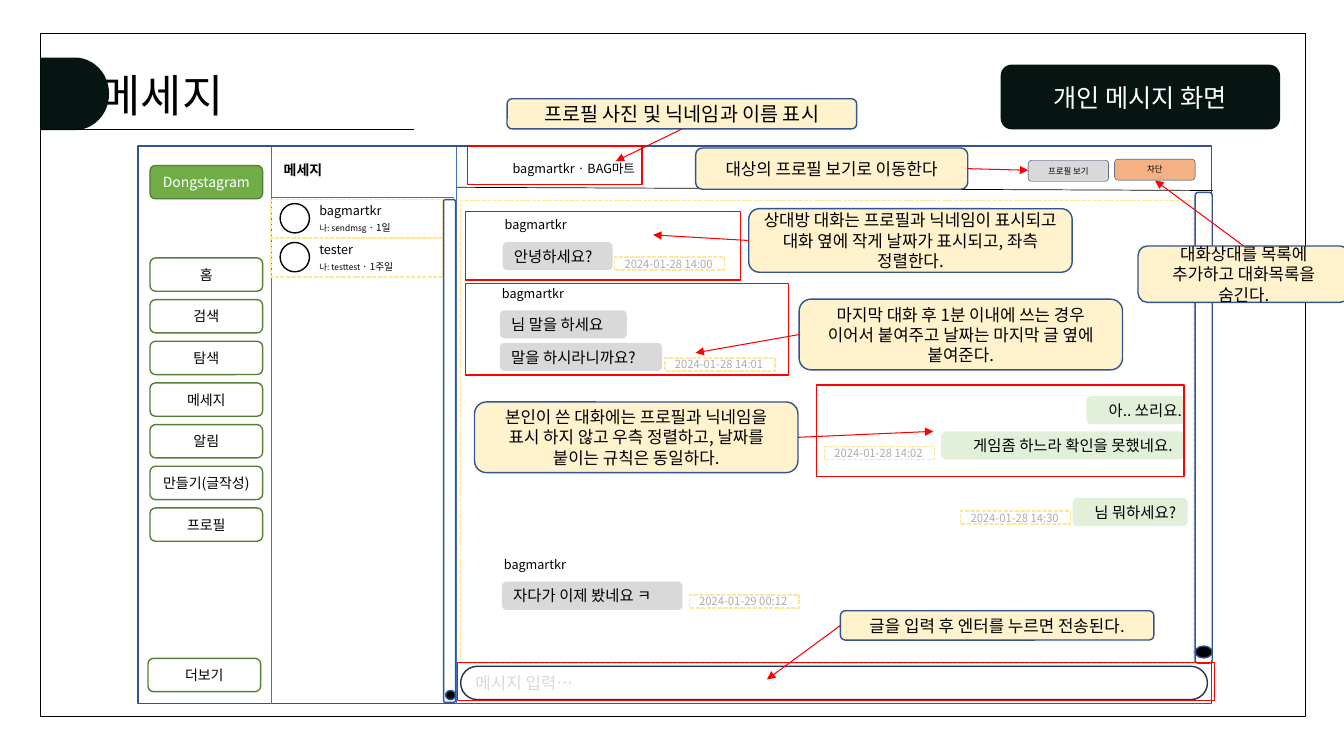
from dataclasses import dataclass

from lxml import etree
from pptx import Presentation
from pptx import util as u
from pptx.dml.color import RGBColor
from pptx.enum import dml, shapes, text
from pptx.oxml.ns import qn

FONT = "Noto Sans CJK KR"
BLACK, WHITE, INK = "000000", "FFFFFF", "061512"
NAVY, BLUE, DEEP_NAVY = "325491", "4472C4", "1E3256"
GREEN, DARK_GREEN, PALE_GREEN = "70AD47", "538035", "E2F0D9"
GREY, STAMP_GREY, ORANGE = "D9D9D9", "AFABAB", "F4B183"
CREAM, YELLOW, RED = "FFF2CC", "FFE699", "FF0000"
RECT, ROUND = shapes.MSO_SHAPE.RECTANGLE, shapes.MSO_SHAPE.ROUNDED_RECTANGLE
OVAL, DELAY = shapes.MSO_SHAPE.OVAL, shapes.MSO_SHAPE.FLOWCHART_DELAY
LEFT, CENTER, RIGHT = text.PP_ALIGN.LEFT, text.PP_ALIGN.CENTER, text.PP_ALIGN.RIGHT
TOP_SIDE, LEFT_SIDE, BOTTOM_SIDE, RIGHT_SIDE = range(4)


@dataclass(frozen=True)
class Box:
    left: float
    top: float
    width: float
    height: float

    def lengths(self) -> list:
        return [u.Cm(n) for n in (self.left, self.top, self.width, self.height)]


@dataclass(frozen=True)
class Bubble:
    words: str
    left: float
    top: float
    width: float
    own: bool = False
    right_inset: float = 0.25


@dataclass(frozen=True)
class Stamp:
    time: str
    left: float
    top: float


@dataclass(frozen=True)
class Callout:
    words: str
    box: Box
    side: int
    target: tuple[float, float]
    size: float = 12


@dataclass(frozen=True)
class Thread:
    name: str
    preview: str
    age: str


NAV = ["홈", "검색", "탐색", "메세지", "알림", "만들기(글작성)", "프로필"]
THREADS = [Thread("bagmartkr", "나: sendmsg ", "· 1일"),
           Thread("tester", "나: testtest ", "· 1주일")]
SENDERS = [(12.47, 5.51), (12.4, 7.24), (12.45, 14.07)]
BUBBLES = [
    Bubble("안녕하세요?", 12.67, 6.1, 2.77),
    Bubble("님 말을 하세요", 12.6, 7.82, 3.2),
    Bubble("말을 하시라니까요?", 12.6, 8.64, 4.09),
    Bubble("아.. 쏘리요.", 27.38, 9.98, 2.49, own=True, right_inset=0.05),
    Bubble("게임좀 하느라 확인을 못했네요.", 23.72, 10.87, 6.12, own=True),
    Bubble("님 뭐하세요?", 27.03, 12.55, 2.9, own=True),
    Bubble("자다가 이제 봤네요 ㅋ", 12.65, 14.66, 4.55),
]
STAMPS = [
    Stamp("2024-01-28 14:00", 15.49, 6.48),
    Stamp("2024-01-28 14:01", 16.76, 9.02),
    Stamp("2024-01-28 14:02", 20.78, 11.25),
    Stamp("2024-01-28 14:30", 24.21, 12.88),
    Stamp("2024-01-29 00:12", 17.37, 14.99),
]
HIGHLIGHTS = [
    Box(11.79, 3.68, 4.39, 0.97), Box(11.73, 5.33, 6.93, 1.73),
    Box(11.73, 7.14, 8.15, 2.31), Box(20.57, 9.7, 9.27, 2.31),
    Box(11.53, 16.69, 19.08, 0.97),
]
CALLOUTS = [
    Callout("프로필 사진 및 닉네임과 이름 표시", Box(12.78, 2.49, 8.81, 0.76),
            BOTTOM_SIDE, (15.52, 4.06), 14),
    Callout("상대방 대화는 프로필과 닉네임이 표시되고 대화 옆에 작게 날짜가 표시되고, 좌측 정렬한다.",
            Box(18.87, 5.26, 8.15, 1.6), LEFT_SIDE, (16.46, 5.92)),
    Callout("마지막 대화 후 1분 이내에 쓰는 경우 이어서 붙여주고 날짜는 마지막 글 옆에 붙여준다.",
            Box(20.14, 7.54, 8.15, 1.78), LEFT_SIDE, (17.53, 8.89)),
    Callout("본인이 쓴 대화에는 프로필과 닉네임을 표시 하지 않고 우측 정렬하고, 날짜를 붙이는 규칙은 동일하다.",
            Box(11.96, 10.13, 8.15, 1.78), RIGHT_SIDE, (23.52, 10.87)),
    Callout("대상의 프로필 보기로 이동한다", Box(17.53, 3.73, 6.86, 1.04),
            RIGHT_SIDE, (25.91, 4.29)),
    Callout("대화상대를 목록에 추가하고 대화목록을 숨긴다.", Box(28.68, 6.2, 5.33, 1.42),
            TOP_SIDE, (29.11, 4.55)),
    Callout("글을 입력 후 엔터를 누르면 전송된다.", Box(21.18, 15.39, 7.9, 0.74),
            LEFT_SIDE, (19.33, 17.12)),
]


def rgb(value: str) -> RGBColor:
    return RGBColor.from_string(value)


def write(holder, words: str, *, size: float, color: str = BLACK, bold: bool = False,
          align=LEFT, wrap: bool = True) -> None:
    frame = holder.text_frame
    frame.word_wrap = wrap
    frame.auto_size = text.MSO_AUTO_SIZE.NONE
    frame.vertical_anchor = text.MSO_ANCHOR.MIDDLE
    line = frame.paragraphs[0]
    line.alignment = align
    run = line.add_run()
    run.text = words
    run.font.size, run.font.bold = u.Pt(size), bold
    run.font.color.rgb = rgb(color)
    run.font.name = FONT
    etree.SubElement(run.font._element, qn("a:ea"), typeface=FONT)


def draw(slide, kind, box: Box, *, fill: str = "", line: str = "", weight: float = 1,
         dashed: bool = False):
    shape = slide.shapes.add_shape(kind, *box.lengths())
    shape.shadow.inherit = False
    if fill:
        shape.fill.solid()
        shape.fill.fore_color.rgb = rgb(fill)
    else:
        shape.fill.background()
    if line:
        shape.line.color.rgb = rgb(line)
        shape.line.width = u.Pt(weight)
        if dashed:
            shape.line.dash_style = dml.MSO_LINE.SQUARE_DOT
    else:
        shape.line.fill.background()
    return shape


def label(slide, box: Box, words: str, size: float):
    holder = slide.shapes.add_textbox(*box.lengths())
    write(holder, words, size=size)
    return holder


def connect(slide, start: tuple, end: tuple, color: str, weight: float = 0.5,
            arrow: bool = False):
    link = slide.shapes.add_connector(shapes.MSO_CONNECTOR.STRAIGHT,
                                      *[u.Cm(n) for n in (*start, *end)])
    link.line.color.rgb = rgb(color)
    link.line.width = u.Pt(weight)
    if arrow:
        etree.SubElement(link.line._get_or_add_ln(), qn("a:tailEnd"), type="triangle")
    etree.SubElement(link._element.spPr, qn("a:effectLst"))
    return link


def draw_heading(slide) -> None:
    draw(slide, RECT, Box(1.02, 0.84, 31.88, 17.22), line=BLACK)
    badge = draw(slide, ROUND, Box(25.22, 1.63, 7.04, 1.63), fill=INK)
    write(badge, "개인 메시지 화면", size=18, color=WHITE, align=CENTER)
    draw(slide, DELAY, Box(1.02, 1.45, 1.73, 1.83), fill=INK)
    title = slide.shapes.title
    title.left, title.top, title.width, title.height = Box(1.24, 1.57, 9.19, 1.63).lengths()
    write(title, "메세지", size=32)
    title.text_frame.margin_left = u.Cm(1.27)
    connect(slide, (1.02, 3.25), (10.44, 3.25), BLACK)


def draw_navigation(slide) -> None:
    draw(slide, RECT, Box(3.48, 3.68, 27.05, 14.05), line=NAVY)
    for divider in (6.83, 11.51):
        connect(slide, (divider, 3.71), (divider, 17.73), BLUE)
    service = draw(slide, ROUND, Box(3.78, 4.17, 2.84, 0.84), fill=GREEN, line=DARK_GREEN)
    write(service, "Dongstagram", size=10, color=WHITE, align=CENTER)
    spots = [(name, 3.78, 6.5 + 1.05 * row) for row, name in enumerate(NAV)]
    for name, left, top in [*spots, ("더보기", 3.73, 16.59)]:
        button = draw(slide, ROUND, Box(left, top, 2.84, 0.84), line=DARK_GREEN)
        write(button, name, size=10, align=CENTER)


def draw_threads(slide) -> None:
    connect(slide, (6.83, 4.98), (11.43, 4.98), BLUE)
    header = draw(slide, ROUND, Box(6.71, 3.86, 1.85, 0.84))
    write(header, "메세지", size=10, bold=True, align=CENTER)
    for row, thread in enumerate(THREADS):
        drop = 0.98 * row
        draw(slide, RECT, Box(6.83, 5.03 + drop, 4.32, 0.97), line=YELLOW, dashed=True)
        label(slide, Box(7.8, 5.16 + drop, 2.16, 0.3), thread.name, 9)
        preview = label(slide, Box(7.8, 5.59 + drop, 3.28, 0.3), thread.preview, 6)
        write(preview, thread.age, size=7)
        draw(slide, OVAL, Box(7.06, 5.13 + drop, 0.74, 0.74), fill=WHITE, line=BLACK)


def draw_chat(slide) -> None:
    connect(slide, (11.51, 4.72), (30.56, 4.8), BLACK)
    label(slide, Box(12.67, 4.06, 5.72, 0.38), "bagmartkr · BAG마트", 9)
    for name, left, top, fill in [("프로필 보기", 25.91, 4.04, GREY), ("차단", 28.09, 4.01, ORANGE)]:
        button = draw(slide, ROUND, Box(left, top, 2.03, 0.53), fill=fill,
                      line=DEEP_NAVY, weight=0.25)
        write(button, name, size=6, align=CENTER)
    for track, thumb in [(Box(11.18, 5.03, 0.3, 12.67), Box(11.23, 17.4, 0.25, 0.23)),
                         (Box(30.12, 4.85, 0.43, 11.86), Box(30.12, 16.28, 0.43, 0.3))]:
        draw(slide, ROUND, track, fill=WHITE, line=NAVY)
        draw(slide, OVAL, thumb, fill=BLACK, line=NAVY)
    entry = draw(slide, ROUND, Box(11.61, 16.79, 18.82, 0.84), fill=WHITE, line=DEEP_NAVY)
    entry.adjustments[0] = 0.5
    write(entry, "메시지 입력…", size=12, color=GREY)
    draw(slide, RECT, Box(11.61, 5.05, 18.47, 11.66), line=YELLOW, dashed=True)
    for left, top in SENDERS:
        label(slide, Box(left, top, 2.16, 0.3), "bagmartkr", 9)
    for bubble in BUBBLES:
        balloon = draw(slide, ROUND, Box(bubble.left, bubble.top, bubble.width, 0.71),
                       fill=PALE_GREEN if bubble.own else GREY)
        write(balloon, bubble.words, size=11, align=RIGHT if bubble.own else LEFT)
        if bubble.own:
            balloon.text_frame.margin_left = 0
            balloon.text_frame.margin_right = u.Cm(bubble.right_inset)
    for stamp in STAMPS:
        tag = draw(slide, RECT, Box(stamp.left, stamp.top, 2.77, 0.33), line=YELLOW, dashed=True)
        write(tag, stamp.time, size=8, color=STAMP_GREY, wrap=False)


def draw_notes(slide) -> None:
    for highlight in HIGHLIGHTS:
        draw(slide, RECT, highlight, line=RED)
    for callout in CALLOUTS:
        panel = draw(slide, ROUND, callout.box, fill=CREAM, line=NAVY)
        write(panel, callout.words, size=callout.size, align=CENTER)
        arrow = connect(slide, callout.target, callout.target, RED, 0.75, arrow=True)
        arrow.begin_connect(panel, callout.side)


def main() -> None:
    deck = Presentation()
    deck.slide_width, deck.slide_height = u.Cm(33.87), u.Cm(19.05)
    slide = deck.slides.add_slide(deck.slide_layouts[5])
    for part in (draw_heading, draw_navigation, draw_threads, draw_chat, draw_notes):
        part(slide)
    deck.save("out.pptx")


if __name__ == "__main__":
    main()
